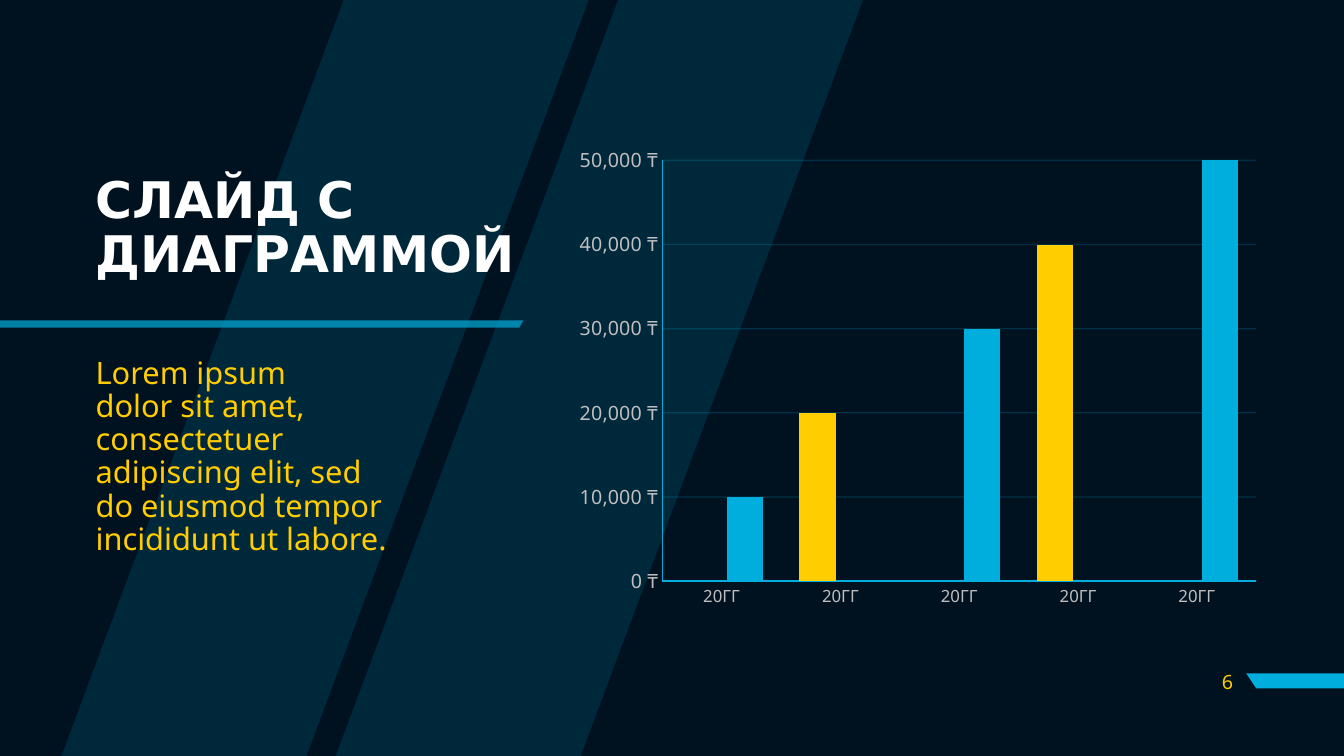
from copy import deepcopy
from dataclasses import dataclass
from typing import Optional

from lxml.etree import SubElement
from pptx import Presentation
from pptx.chart.data import CategoryChartData as ChartData
from pptx.dml.color import RGBColor
from pptx.enum.chart import XL_CHART_TYPE as ChartType, XL_TICK_MARK as Tick
from pptx.enum.text import MSO_ANCHOR as Anchor, MSO_AUTO_SIZE as Fit, PP_ALIGN as Align
from pptx.oxml.ns import qn
from pptx.util import Inches, Pt

NAVY = RGBColor(0x00, 0x11, 0x1F)
CYAN = RGBColor(0x00, 0xAE, 0xDE)
GOLD = RGBColor(0xFF, 0xCD, 0x00)
WHITE = RGBColor(0xFF, 0xFF, 0xFF)
GRAY = RGBColor(0xBF, 0xBF, 0xBF)
HEAD, BODY = "DejaVu Sans", "Noto Sans"


@dataclass
class Band:
    points: list[tuple[float, float]]
    alpha: int = 100


@dataclass
class Label:
    box: tuple[float, float, float, float]
    lines: list[str]
    size: int
    color: RGBColor
    font: str = BODY
    bold: bool = False
    anchor: Anchor = Anchor.TOP
    align: Align = Align.LEFT
    spacing: Optional[float] = None
    before: int = 0
    fit: Fit = Fit.NONE


def slant(left: float) -> Band:
    """Wide stripe leaning across the full slide height."""
    return Band([(left + 2.8, 0), (left, 7.5), (left + 2.43, 7.5), (left + 5.23, 0)], 15)


BANDS = [
    slant(3.33),
    slant(0.61),
    Band([(13.33, 6.68), (13.33, 6.83), (12.46, 6.83), (12.36, 6.68)]),
    Band([(0, 3.18), (0, 3.25), (5.15, 3.25), (5.19, 3.18)], 70),
]
LABELS = [
    Label((0.85, 1.44, 4.43, 1.67), ["СЛАЙД С ДИАГРАММОЙ"], 36, WHITE, HEAD,
          bold=True, anchor=Anchor.MIDDLE, spacing=0.9),
    Label((0.85, 3.5, 3.09, 2.36),
          ["Lorem ipsum", "dolor sit amet, consectetuer adipiscing elit, sed",
           "do eiusmod tempor incididunt ut labore."],
          22, GOLD, spacing=0.9, before=10, fit=Fit.TEXT_TO_FIT_SHAPE),
    Label((11.73, 6.56, 0.6, 0.4), ["6"], 14, GOLD,
          anchor=Anchor.MIDDLE, align=Align.RIGHT),
]


def fade(fill, alpha: int) -> None:
    """Set the opacity of a solid fill element, in percent."""
    SubElement(fill[0], qn("a:alpha")).set("val", str(alpha * 1000))


def draw_band(slide, band: Band) -> None:
    # The pen only takes whole units, so it works in hundredths of an inch
    start, *rest = [(round(x * 100), round(y * 100)) for x, y in band.points]
    pen = slide.shapes.build_freeform(*start, scale=Inches(0.01))
    pen.add_line_segments(rest, close=True)
    shape = pen.convert_to_shape()
    shape.shadow.inherit = False
    shape.line.fill.background()
    shape.fill.solid()
    shape.fill.fore_color.rgb = CYAN
    if band.alpha < 100:
        fade(shape.element.spPr.find(qn("a:solidFill")), band.alpha)


def draw_label(slide, label: Label) -> None:
    frame = slide.shapes.add_textbox(*map(Inches, label.box)).text_frame
    frame.word_wrap = True
    frame.auto_size = label.fit
    frame.vertical_anchor = label.anchor
    para = frame.paragraphs[0]
    para.alignment = label.align
    para.line_spacing = label.spacing
    para.space_before = Pt(label.before)
    for i, line in enumerate(label.lines):
        if i:
            para.add_line_break()
        run = para.add_run()
        run.text = line
        font = run.font
        font.name, font.size, font.bold = label.font, Pt(label.size), label.bold
        font.color.rgb = label.color


def style_axis(axis, size: int) -> None:
    axis.major_tick_mark = axis.minor_tick_mark = Tick.NONE
    font = axis.tick_labels.font
    font.name, font.size, font.color.rgb = BODY, Pt(size), GRAY
    axis.format.line.width = Pt(1)
    axis.format.line.color.rgb = CYAN


def split_axes(chart) -> None:
    """Move the second series to a hidden pair of axes."""
    plot = chart.plots[0]
    first = plot._element
    area = first.getparent()
    second = deepcopy(first)
    first.remove(first.findall(qn("c:ser"))[1])
    second.remove(second.findall(qn("c:ser"))[0])
    first.addnext(second)
    ids = [node.get("val") for node in second.findall(qn("c:axId"))]
    swap = dict(zip(ids, ("5001", "5002")))
    pair = [deepcopy(area.find(qn(tag))) for tag in ("c:catAx", "c:valAx")]
    for axis in pair:
        axis.find(qn("c:delete")).set("val", "1")
        grid = axis.find(qn("c:majorGridlines"))
        if grid is not None:
            axis.remove(grid)
            axis.find(qn("c:axPos")).set("val", "r")
            axis.find(qn("c:crosses")).set("val", "max")
    area.find(qn("c:valAx")).addnext(pair[0])
    pair[0].addnext(pair[1])
    for part in (second, *pair):
        for node in part.iter(qn("c:axId"), qn("c:crossAx")):
            node.set("val", swap[node.get("val")])


def draw_chart(slide) -> None:
    data = ChartData()
    data.categories = ["20ГГ"] * 5
    data.add_series("Series 1", [None, 20000, None, 40000, None])
    data.add_series("Series 2", [10000, None, 30000, None, 50000])
    box = map(Inches, (5.61, 1.36, 6.99, 4.77))
    chart = slide.shapes.add_chart(ChartType.COLUMN_CLUSTERED, *box, data).chart
    chart.has_legend = chart.has_title = False
    chart.font.name, chart.font.size = BODY, Pt(10)

    # Columns
    plot = chart.plots[0]
    plot.gap_width, plot.overlap, plot.vary_by_categories = 100, -27, False
    for series, color in zip(plot.series, (GOLD, CYAN)):
        series.format.fill.solid()
        series.format.fill.fore_color.rgb = color

    # Axes and grid
    style_axis(chart.category_axis, 12)
    axis = chart.value_axis
    style_axis(axis, 14)
    axis.minimum_scale, axis.maximum_scale, axis.major_unit = 0, 50000, 10000
    axis.tick_labels.number_format = '#,##0\\ "₸"'
    axis.tick_labels.number_format_is_linked = False
    grid = axis.major_gridlines.format.line
    grid.width = Pt(1)
    grid.color.rgb = CYAN
    lines = axis._element.find(qn("c:majorGridlines"))
    fade(next(lines.iter(qn("a:solidFill"))), 20)
    split_axes(chart)


def main() -> None:
    deck = Presentation()
    deck.slide_width, deck.slide_height = Inches(13.33), Inches(7.5)
    slide = deck.slides.add_slide(deck.slide_layouts[6])
    slide.background.fill.solid()
    slide.background.fill.fore_color.rgb = NAVY
    for band in BANDS:
        draw_band(slide, band)
    for label in LABELS:
        draw_label(slide, label)
    draw_chart(slide)
    deck.save("out.pptx")


if __name__ == "__main__":
    main()
